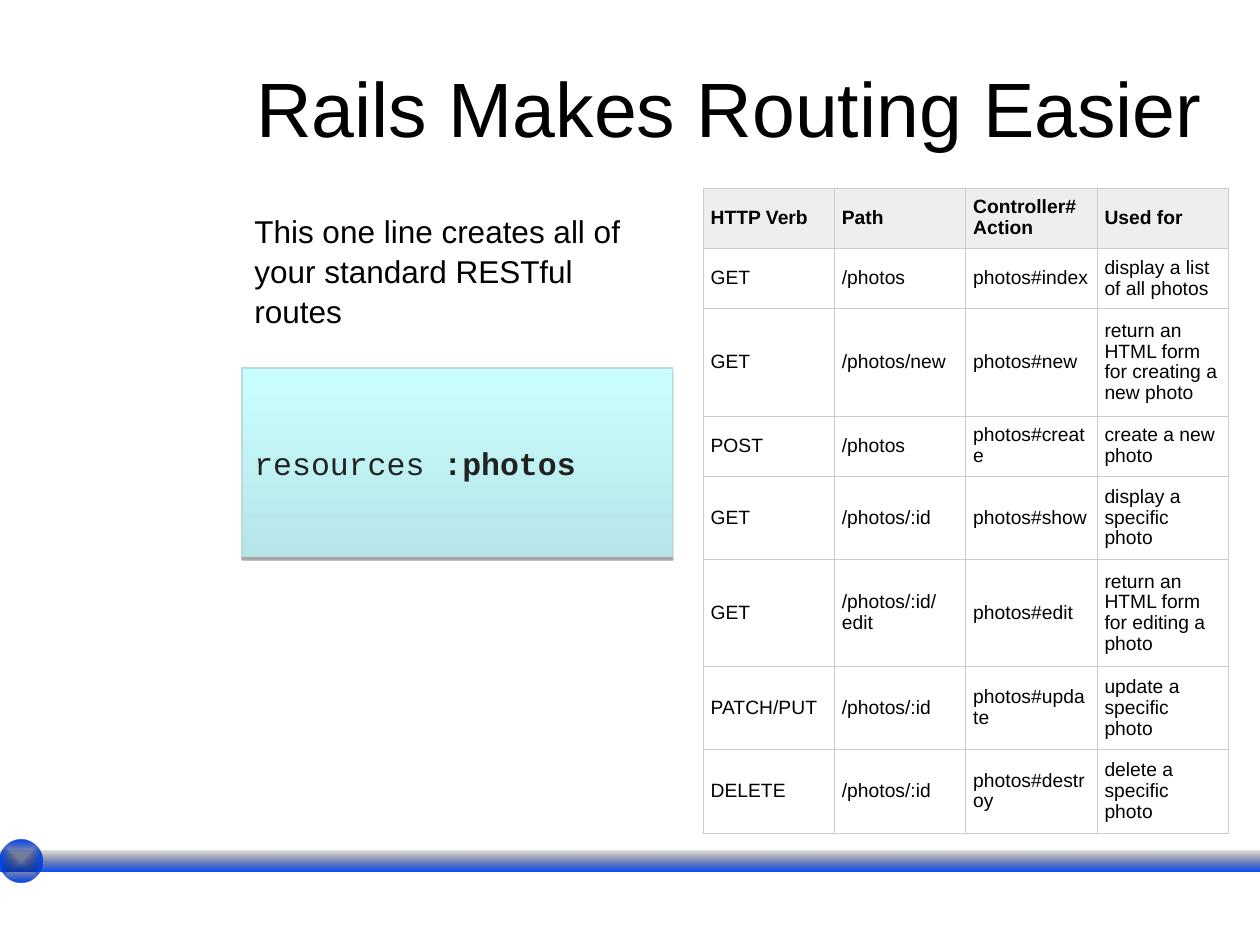
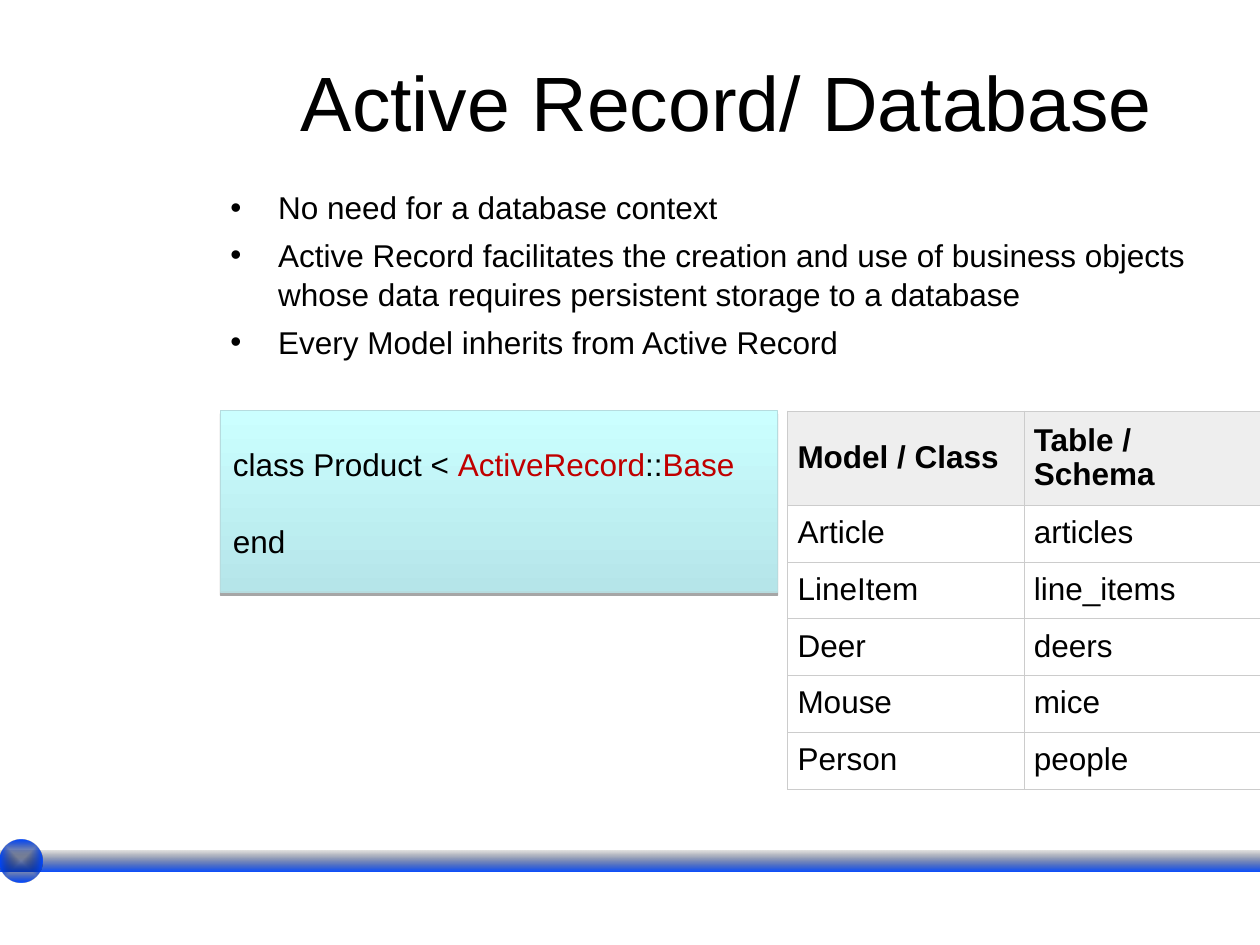
import pptx
import pptx.dml.color
import pptx.enum.shapes
import pptx.enum.text
import pptx.oxml.ns
import pptx.util
from lxml import etree

Inches = pptx.util.Inches
Pt = pptx.util.Pt
RGBColor = pptx.dml.color.RGBColor
SHAPE = pptx.enum.shapes.MSO_SHAPE
ANCHOR = pptx.enum.text.MSO_ANCHOR
ALIGN = pptx.enum.text.PP_ALIGN

BLACK = RGBColor(0x00, 0x00, 0x00)
WHITE = RGBColor(0xFF, 0xFF, 0xFF)
BLUE = RGBColor(0x00, 0x47, 0xFF)
CODE_TOP = RGBColor(0xCB, 0xFF, 0xFF)
CODE_BOTTOM = RGBColor(0xB5, 0xE5, 0xE9)
CODE_EDGE = RGBColor(0xB6, 0xDC, 0xDF)
CODE_GRAY = RGBColor(0x22, 0x22, 0x22)
CLASS_RED = RGBColor(0xC0, 0x00, 0x00)
HEADER_GRAY = RGBColor(0xEE, 0xEE, 0xEE)
GRID_GRAY = RGBColor(0xCC, 0xCC, 0xCC)

SLIDE_WIDTH, SLIDE_HEIGHT = 10, 7.5
TITLE_FORMAT = {"name": "Arial", "size": Pt(44)}
BODY_FORMAT = {"name": "Arial", "size": Pt(18)}
CODE_FORMAT = {"name": "Courier New", "size": Pt(18), "color": CODE_GRAY}
BODY_SPACING = 1.05
TABLE_SPACING = 0.97

ROUTES = [
    ("HTTP Verb", "Path", "Controller#Action", "Used for"),
    ("GET", "/photos", "photos#index", "display a list of all photos"),
    ("GET", "/photos/new", "photos#new", "return an HTML form for creating a new photo"),
    ("POST", "/photos", "photos#create", "create a new photo"),
    ("GET", "/photos/:id", "photos#show", "display a specific photo"),
    ("GET", "/photos/:id/edit", "photos#edit", "return an HTML form for editing a photo"),
    ("PATCH/PUT", "/photos/:id", "photos#update", "update a specific photo"),
    ("DELETE", "/photos/:id", "photos#destroy", "delete a specific photo"),
]
ROUTE_HEIGHTS = [0.48, 0.48, 0.85, 0.48, 0.66, 0.85, 0.66, 0.66]

MODELS = [
    ("Model / Class", "Table / Schema"),
    ("Article", "articles"),
    ("LineItem", "line_items"),
    ("Deer", "deers"),
    ("Mouse", "mice"),
    ("Person", "people"),
]
MODEL_HEIGHTS = [0.75] + [0.45] * 5


def add_element(parent, tag, **attributes):
    return etree.SubElement(parent, pptx.oxml.ns.qn(tag), attributes)


def set_attributes(target, values):
    for name, value in values.items():
        setattr(target, name, value)


def add_runs(paragraph, runs, base_format):
    for text, changes in runs:
        run = paragraph.add_run()
        run.text = text
        values = {"color": BLACK, **base_format, **changes}
        run.font.color.rgb = values.pop("color")
        set_attributes(run.font, values)


def fill_text(frame, paragraphs, base_format, anchor=ANCHOR.TOP, bullet=False, **layout):
    set_attributes(frame, {"word_wrap": True, "vertical_anchor": anchor})
    for index, runs in enumerate(paragraphs):
        paragraph = frame.add_paragraph() if index else frame.paragraphs[0]
        values = dict(layout)
        gap = values.pop("gap", None)
        if index and gap:
            values["space_before"] = gap
        set_attributes(paragraph, values)
        if bullet:
            properties = paragraph._p.get_or_add_pPr()
            properties.set("marL", str(Inches(0.38)))
            properties.set("indent", str(-Inches(0.38)))
            add_element(properties, "a:buFont", typeface="Arial")
            add_element(properties, "a:buChar", char="•")
        add_runs(paragraph, runs, base_format)


def add_text(slide, box, paragraphs, base_format, **layout):
    shape = slide.shapes.add_textbox(*map(Inches, box))
    fill_text(shape.text_frame, paragraphs, base_format, **layout)


def add_title(slide, box, text):
    add_text(slide, box, [[(text, {})]], TITLE_FORMAT,
             anchor=ANCHOR.MIDDLE, alignment=ALIGN.CENTER)


def add_gradient_shape(slide, kind, box, start, end, angle):
    shape = slide.shapes.add_shape(kind, *map(Inches, box))
    shape.shadow.inherit = False
    shape.line.fill.background()
    shape.fill.gradient()
    shape.fill.gradient_angle = angle
    for stop, color, position in zip(shape.fill.gradient_stops, (start, end), (0, 1)):
        stop.color.rgb = color
        stop.position = position
    return shape


def add_footer(slide, box):
    left, top, width, height = box
    ball_size = 2 * height
    band = add_gradient_shape(slide, SHAPE.RECTANGLE, box, BLACK, BLUE, 270)
    ball_box = (left, top + (height - ball_size) / 2, ball_size, ball_size)
    ball = add_gradient_shape(slide, SHAPE.OVAL, ball_box, BLACK, BLUE, 270)
    for shape in (band, ball):
        first_color = next(shape._element.spPr.iter(pptx.oxml.ns.qn("a:srgbClr")))
        add_element(first_color, "a:alpha", val="10000")
    gradient = ball._element.spPr.find(pptx.oxml.ns.qn("a:gradFill"))
    gradient.remove(gradient.find(pptx.oxml.ns.qn("a:lin")))
    center = add_element(gradient, "a:path", path="rect")
    add_element(center, "a:fillToRect", l="50000", t="50000", r="50000", b="50000")


def add_code_box(slide, box, paragraphs, base_format, **layout):
    shape = add_gradient_shape(slide, SHAPE.RECTANGLE, box, CODE_BOTTOM, CODE_TOP, 90)
    shape.line.color.rgb = CODE_EDGE
    shape.line.width = Pt(0.75)
    effects = shape._element.spPr.find(pptx.oxml.ns.qn("a:effectLst"))
    shadow = add_element(effects, "a:outerShdw", blurRad="0", dist=str(Pt(1.8)),
                         dir="5400000", algn="ctr", rotWithShape="0")
    color = add_element(shadow, "a:srgbClr", val=str(BLACK))
    add_element(color, "a:alpha", val="35000")
    fill_text(shape.text_frame, paragraphs, base_format, anchor=ANCHOR.MIDDLE,
              alignment=ALIGN.LEFT, line_spacing=BODY_SPACING, **layout)


def add_cell_borders(cell):
    properties = cell._tc.get_or_add_tcPr()
    for side in ("a:lnL", "a:lnR", "a:lnT", "a:lnB"):
        line = add_element(properties, side, w=str(Pt(0.28)))
        add_element(add_element(line, "a:solidFill"), "a:srgbClr", val=str(GRID_GRAY))


def add_grid(slide, box, rows, heights, size, side_margin):
    frame = slide.shapes.add_table(len(rows), len(rows[0]), *map(Inches, box))
    table = frame.table
    set_attributes(table, {"first_row": False, "horz_banding": False})
    for column in table.columns:
        column.width = Inches(box[2] / len(rows[0]))
    for row, height in zip(table.rows, heights):
        row.height = Inches(height)
    for row_index, texts in enumerate(rows):
        is_header = row_index == 0
        for column_index, text in enumerate(texts):
            cell = table.cell(row_index, column_index)
            add_cell_borders(cell)
            cell.fill.solid()
            cell.fill.fore_color.rgb = HEADER_GRAY if is_header else WHITE
            set_attributes(cell, {
                "vertical_anchor": ANCHOR.MIDDLE,
                "margin_left": Inches(side_margin), "margin_right": Inches(side_margin),
                "margin_top": Inches(0.05), "margin_bottom": Inches(0.05),
            })
            paragraph = cell.text_frame.paragraphs[0]
            paragraph.line_spacing = TABLE_SPACING
            add_runs(paragraph, [(text, {"bold": is_header})],
                     {"name": "Arial", "size": Pt(size)})


def add_base_slide(presentation, title_box, title):
    slide = presentation.slides.add_slide(presentation.slide_layouts[6])
    add_title(slide, title_box, title)
    add_footer(slide, (0, 6.75, SLIDE_WIDTH, 0.17))
    return slide


def build_routing_slide(presentation):
    slide = add_base_slide(presentation, (1.75, 0.22, 8.08, 1.26),
                           "Rails Makes Routing Easier")
    add_code_box(slide, (1.92, 2.92, 3.42, 1.5),
                 [[("resources ", {}), (":photos", {"bold": True})]], CODE_FORMAT)
    add_text(slide, (1.92, 1.62, 3.25, 1),
             [[("This one line creates all of your standard RESTful routes", {})]],
             BODY_FORMAT, line_spacing=BODY_SPACING)
    add_grid(slide, (5.58, 1.49, 4.17, 5.13), ROUTES, ROUTE_HEIGHTS, 11, 0.06)


def build_database_slide(presentation):
    slide = add_base_slide(presentation, (1.73, 0.17, 8.08, 1.26),
                           "Active Record/ Database")
    points = [
        "No need for a database context",
        "Active Record facilitates the creation and use of business objects "
        "whose data requires persistent storage to a database",
        "Every Model inherits from Active Record",
    ]
    add_text(slide, (1.73, 1.43, 8.27, 1.5), [[(point, {})] for point in points],
             BODY_FORMAT, bullet=True, line_spacing=BODY_SPACING, gap=Pt(4.5))
    red = {"color": CLASS_RED}
    class_lines = [
        [("class Product < ", {}), ("ActiveRecord", red), ("::", {}), ("Base", red)],
        [("end", {})],
    ]
    add_code_box(slide, (1.75, 3.26, 4.42, 1.44), class_lines, BODY_FORMAT, gap=Pt(21.7))
    add_grid(slide, (6.25, 3.26, 3.75, 3), MODELS, MODEL_HEIGHTS, 18, 0.08)


def main():
    presentation = pptx.Presentation()
    presentation.slide_width = Inches(SLIDE_WIDTH)
    presentation.slide_height = Inches(SLIDE_HEIGHT)
    build_routing_slide(presentation)
    build_database_slide(presentation)
    presentation.save("out.pptx")


if __name__ == "__main__":
    main()
